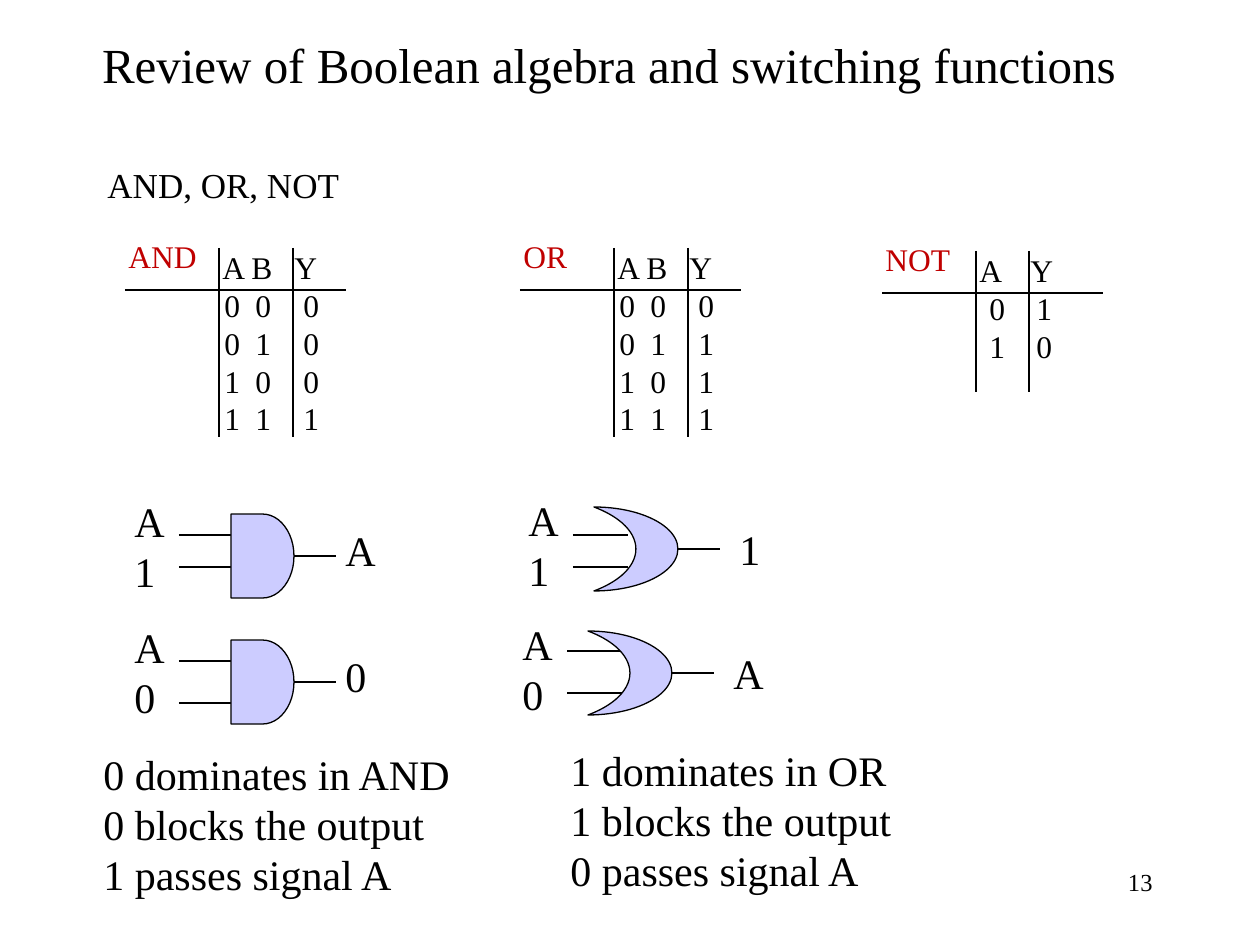
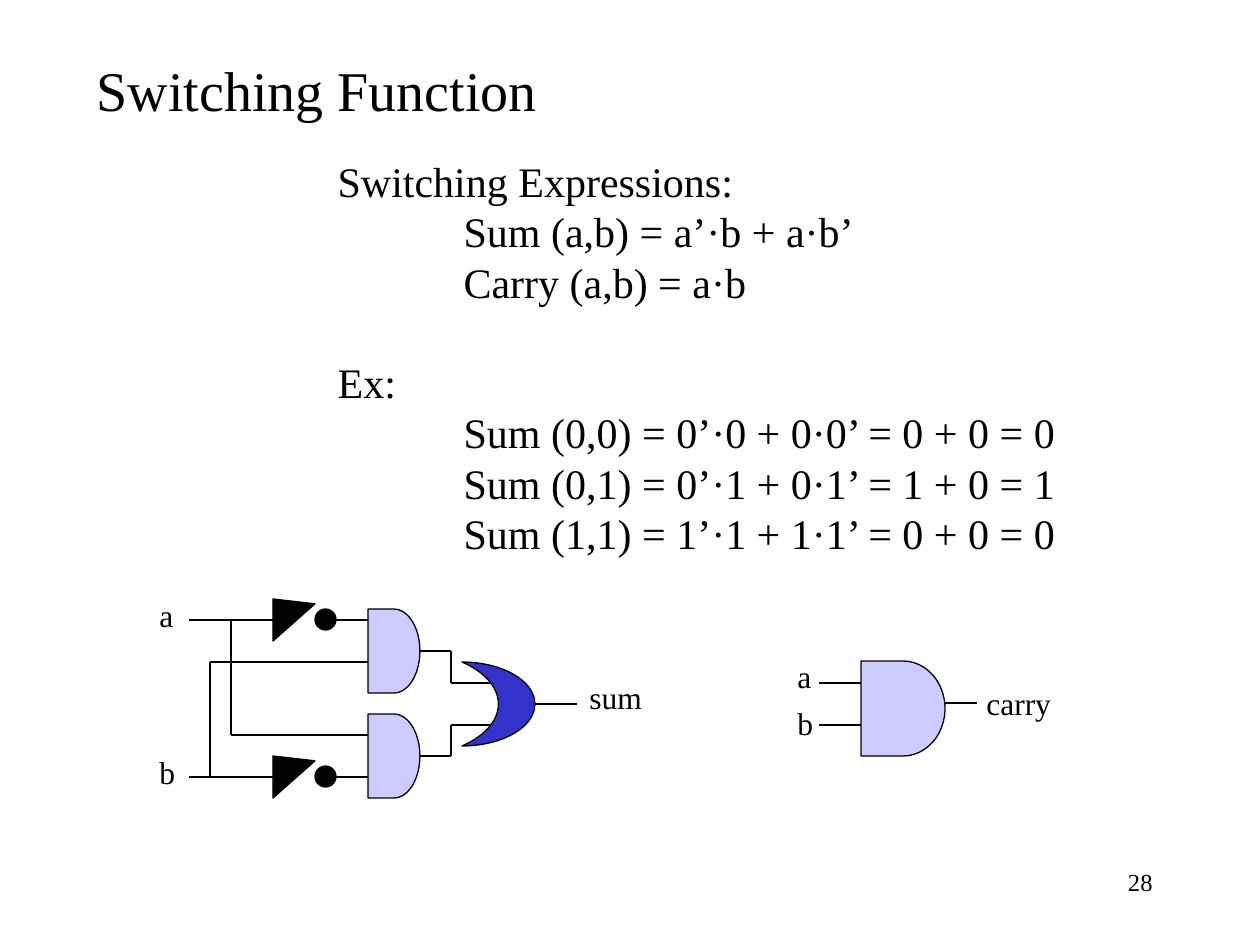
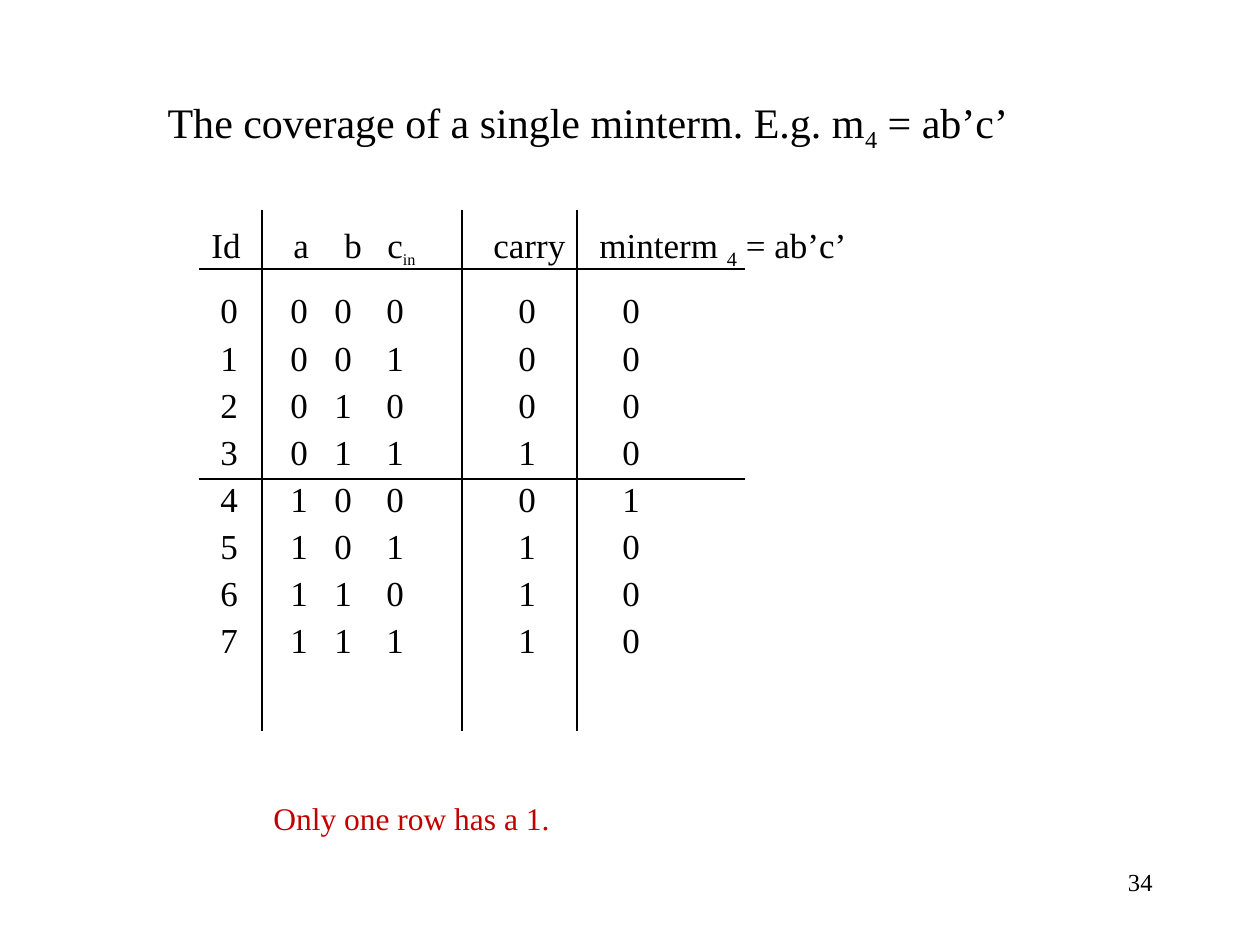
from dataclasses import dataclass

from lxml import etree
from pptx import Presentation
from pptx.dml.color import RGBColor
from pptx.enum.shapes import MSO_CONNECTOR, MSO_SHAPE
from pptx.enum.text import MSO_ANCHOR, MSO_AUTO_SIZE, PP_ALIGN
from pptx.oxml.ns import qn
from pptx.util import Emu, Pt

LINE = MSO_CONNECTOR.STRAIGHT
DELAY, MOON = MSO_SHAPE.FLOWCHART_DELAY, MSO_SHAPE.MOON
WEDGE, DOT = MSO_SHAPE.ISOSCELES_TRIANGLE, MSO_SHAPE.OVAL
MID = MSO_ANCHOR.MIDDLE
LEFT, MIDDLE, RIGHT = PP_ALIGN.LEFT, PP_ALIGN.CENTER, PP_ALIGN.RIGHT


@dataclass(frozen=True)
class Theme:
    font: str = "Times New Roman"
    ink: RGBColor = RGBColor(0, 0, 0)
    red: RGBColor = RGBColor(0xC0, 0, 0)
    pale: RGBColor = RGBColor(0xCC, 0xCC, 0xFF)
    blue: RGBColor = RGBColor(0x33, 0x33, 0xCC)
    head: int = 32
    long: int = 28
    body: int = 24
    grid: int = 20
    note: int = 18
    sub: int = 16
    page: int = 14
    rule: float = 0.75


THEME = Theme()


def px(n):
    return Emu(round(n * 914400 / 126))


def write(para, text, size, color=THEME.ink, align=LEFT):
    for i, part in enumerate(text.split("|")):
        if part:
            run = para.add_run()
            run.text = part
            if i % 2:
                run.font._element.set("baseline", "-25000")
    para.alignment = align
    para.space_before = Pt(0)
    font = para.font
    font.name, font.size = THEME.font, Pt(size)
    font.color.rgb = color


def fit(frame):
    frame.word_wrap = True
    frame.auto_size = MSO_AUTO_SIZE.NONE


def para_at(frame, i):
    return frame.add_paragraph() if i else frame.paragraphs[0]


def fill_frame(frame, lines, size, **style):
    fit(frame)
    for i, line in enumerate(lines):
        write(para_at(frame, i), line, size, **style)


def place(shape, box):
    shape.left, shape.top, shape.width, shape.height = map(px, box)


def label(slide, box, lines, size=THEME.note, **style):
    shape = slide.shapes.add_textbox(*map(px, box))
    fill_frame(shape.text_frame, lines, size, **style)


def start(deck, layout, title, box, size, page, align=LEFT):
    slide = deck.slides.add_slide(deck.slide_layouts[layout])
    head = slide.shapes.title
    place(head, box)
    fill_frame(head.text_frame, [title], size, align=align)
    head.text_frame.vertical_anchor = MID
    label(slide, (903, 861, 262, 63), [page], THEME.page, align=RIGHT)
    return slide


def wire(slide, x1, y1, x2, y2, source=None):
    line = slide.shapes.add_connector(LINE, px(x1), px(y1), px(x2), px(y2))
    line.line.color.rgb = THEME.ink
    line.line.width = Pt(THEME.rule)
    etree.SubElement(line._element.spPr, qn("a:effectLst"))
    if source is not None:
        line.begin_connect(source, 3)


def solid(slide, kind, box, color):
    shape = slide.shapes.add_shape(kind, *map(px, box))
    shape.shadow.inherit = False
    shape.fill.solid()
    shape.fill.fore_color.rgb = color
    shape.line.color.rgb = THEME.ink
    shape.line.width = Pt(THEME.rule)
    return shape


def gate(slide, kind, box, color=THEME.pale, out=0):
    x, y, w, h = box
    shape = solid(slide, kind, box, color)
    if kind == MOON:
        shape.adjustments[0] = 0.5
        shape._element.spPr.find(qn("a:xfrm")).set("flipH", "1")
    if out:
        source = shape if kind == DELAY else None
        wire(slide, x + w, y + h // 2, x + w + out, y + h // 2, source)


def truth(slide, box, rows, heads, digits, size):
    shape = slide.shapes.add_textbox(*map(px, box))
    frame = shape.text_frame
    fit(frame)
    for i, row in enumerate(rows):
        para = para_at(frame, i)
        stops = digits if i else heads
        tabs = etree.SubElement(para._p.get_or_add_pPr(), qn("a:tabLst"))
        for stop in filter(None, stops):
            tab = etree.SubElement(tabs, qn("a:tab"))
            tab.set("pos", str(px(stop)))
            tab.set("algn", "l")
        lead = "\t" if stops[0] else ""
        write(para, lead + "\t".join(row), size)
    return frame.paragraphs


def rules(slide, x, y, w, h, across, down):
    for top in across:
        wire(slide, x, y + top, x + w, y + top)
    for left in down:
        wire(slide, x + left, y, x + left, y + h)


def small(slide, x, y, name, rows, heads, digits, down, high):
    cells = [row.split() for row in rows]
    truth(slide, (x + 9, y - 6, 200, 12 + 38 * len(rows)), cells,
          heads, digits, THEME.note)
    rules(slide, x, y, 221, high, (42,), down)
    label(slide, (x - 9, y - 17, 103, 50), [name], color=THEME.red)


def logic(slide, x, y, kind, ins, out, taps):
    delay = kind == DELAY
    for tap in taps:
        wire(slide, x + 57, y + tap, x + (109 if delay else 112), y + tap)
    box = (x + 109, y + 25, 63, 84) if delay else (x + 78, y + 19, 84, 84)
    gate(slide, kind, box, out=42)
    label(slide, (x, y, 55, 113), ins, THEME.body)
    label(slide, (x + 211, y + 29, 60, 63), [out], THEME.body)


def review(deck):
    slide = start(deck, 5, "Review of Boolean algebra and switching functions",
                  (21, 36, 1176, 56), THEME.long, "13", MIDDLE)
    label(slide, (95, 157, 270, 54), ["AND, OR, NOT"], THEME.grid)
    pair = ((76, 105, 148), (78, 109, 157), (94, 168), 189)
    single = ((76, 127), (86, 133), (94, 147), 141)
    small(slide, 125, 248, "AND",
          ["A B Y", "0 0 0", "0 1 0", "1 0 0", "1 1 1"], *pair)
    small(slide, 520, 248, "OR",
          ["A B Y", "0 0 0", "0 1 1", "1 0 1", "1 1 1"], *pair)
    small(slide, 882, 251, "NOT", ["A Y", "0 1", "1 0"], *single)
    logic(slide, 122, 489, DELAY, "A1", "A", (46, 78))
    logic(slide, 122, 615, DELAY, "A0", "0", (46, 88))
    logic(slide, 516, 488, MOON, "A1", "1", (47, 79))
    logic(slide, 510, 612, MOON, "A0", "A", (39, 81))
    label(slide, (91, 742, 390, 165),
          ["0 dominates in AND", "0 blocks the output", "1 passes signal A"],
          THEME.body)
    label(slide, (558, 738, 365, 165),
          ["1 dominates in OR", "1 blocks the output", "0 passes signal A"],
          THEME.body)


def invert(slide, x, y):
    wedge = solid(slide, WEDGE, (x, y - 21, 42, 42), THEME.ink)
    wedge.adjustments[0] = 0.115
    wedge.rotation = 90
    solid(slide, DOT, (x + 42, y - 11, 21, 21), THEME.ink)
    wire(slide, x + 63, y, x + 95, y)


def adder(slide, x, y):
    for name, row in (("a", 32), ("b", 189)):
        label(slide, (x, y + row - 30, 45, 50), [name])
        wire(slide, x + 42, y + row, x + 126, y + row)
        invert(slide, x + 126, y + row)
    for x1, y1, x2, y2 in (
            (63, 74, 221, 74), (84, 147, 221, 147),
            (63, 74, 63, 189), (84, 32, 84, 147),
            (304, 63, 304, 95), (304, 95, 347, 95),
            (304, 137, 304, 168), (304, 137, 347, 137)):
        wire(slide, x + x1, y + y1, x + x2, y + y2)
    for top in (21, 126):
        gate(slide, DELAY, (x + 221, y + top, 52, 84), out=31)
    gate(slide, MOON, (x + 315, y + 74, 73, 84), THEME.blue, 42)
    label(slide, (x + 430, y + 84, 90, 50), ["sum"])


def carry(slide, x, y):
    for name, top, tap in (("a", 0, 32), ("b", 47, 74)):
        label(slide, (x, y + top, 45, 50), [name])
        wire(slide, x + 34, y + tap, x + 76, y + tap)
    gate(slide, DELAY, (x + 76, y + 10, 84, 95))
    wire(slide, x + 160, y + 52, x + 192, y + 52)
    label(slide, (x + 189, y + 27, 100, 50), ["carry"])


def switch(deck):
    slide = start(deck, 1, "Switching Function", (84, 50, 620, 79),
                  THEME.head, "28")
    body = slide.placeholders[1]
    place(body, (325, 149, 820, 471))
    lines = ["Switching Expressions:", "Sum (a,b) = a’·b + a·b’",
             "Carry (a,b) = a·b", "Ex:",
             "Sum (0,0) = 0’·0 + 0·0’ = 0 + 0 = 0",
             "Sum (0,1) = 0’·1 + 0·1’ = 1 + 0 = 1",
             "Sum (1,1) = 1’·1 + 1·1’ = 0 + 0 = 0"]
    frame = body.text_frame
    fit(frame)
    for i, line in enumerate(lines):
        para = para_at(frame, i)
        props = para._p.get_or_add_pPr()
        props.set("marL", "0" if line.endswith(":") else str(px(126)))
        props.set("indent", "0")
        etree.SubElement(props, qn("a:buNone"))
        write(para, line, THEME.body)
    frame.paragraphs[3].space_before = Pt(28.5)
    adder(slide, 147, 588)
    carry(slide, 785, 651)


def cover(deck):
    slide = start(deck, 5, "The coverage of a single minterm. E.g. m|4| = ab’c’",
                  (155, 93, 900, 64), THEME.body, "34")
    rows = [["Id", "a", "b", "c|in|", "carry", "minterm |4| = ab’c’"]]
    for n in range(8):
        bits = list(f"{n:03b}")
        rows.append([str(n), *bits, str(int(bits.count("1") > 1)),
                     str(int(n == 4))])
    paras = truth(slide, (199, 217, 882, 571), rows,
                  (0, 82, 133, 176, 282, 388), (9, 79, 123, 175, 307, 411),
                  THEME.grid)
    paras[0].runs[1].font.size = Pt(THEME.sub)
    for para in paras[1:]:
        para.space_before = Pt(10)
    for para in paras[2:]:
        para.line_spacing = 0.7
    rules(slide, 199, 210, 546, 521, (59, 269), (63, 263, 378))
    label(slide, (261, 793, 330, 50), ["Only one row has a 1."],
          color=THEME.red)


def main():
    deck = Presentation()
    deck.slide_width, deck.slide_height = px(1260), px(945)
    review(deck)
    switch(deck)
    cover(deck)
    deck.save("out.pptx")


if __name__ == "__main__":
    main()
